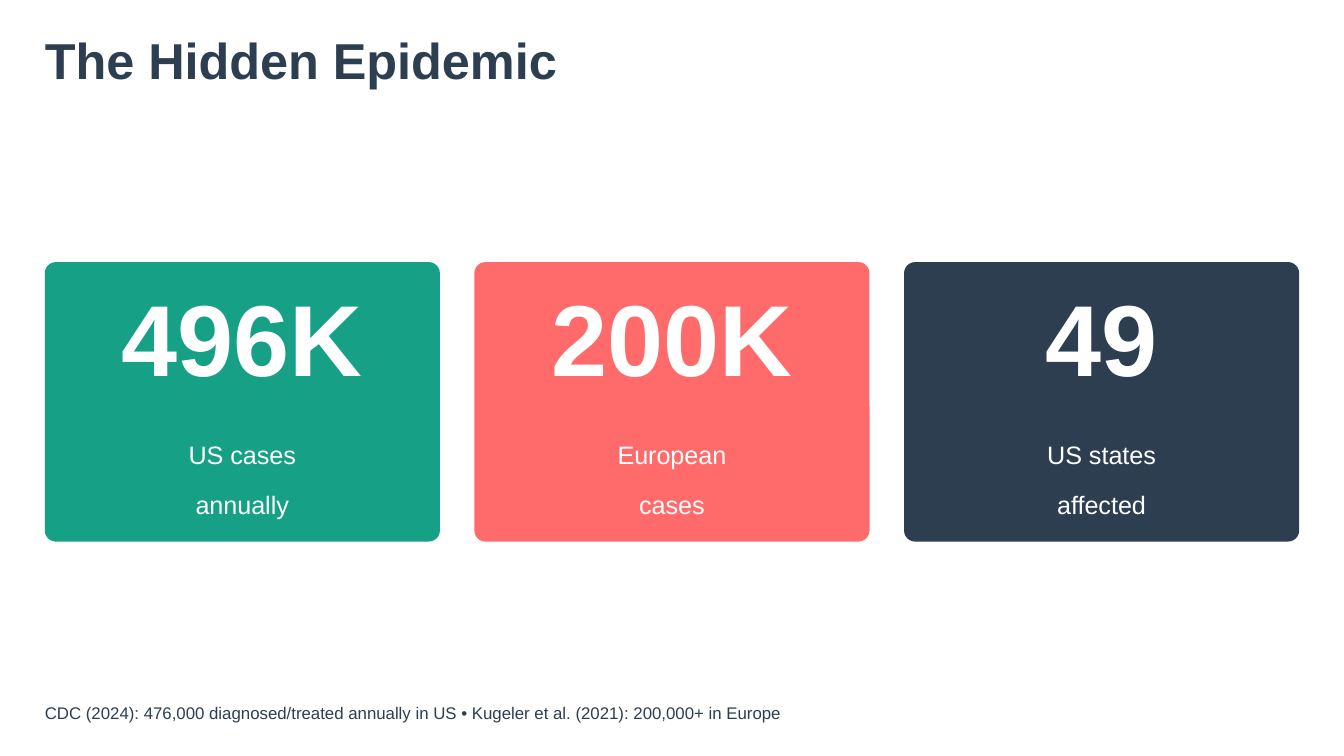
from pptx import Presentation
from pptx import util as u
from pptx.dml import color
from pptx.enum import shapes, text

COLORS = {"navy": "2C3E50", "teal": "16A085", "coral": "FF6B6B", "white": "FFFFFF"}
SLIDE_WIDTH = 10
SLIDE_HEIGHT = SLIDE_WIDTH * 9 / 16
MARGIN = 1 / 3
CARD_WIDTH, CARD_HEIGHT, CARD_TOP = 2.94, 2.08, 1.95

deck = Presentation()
deck.slide_width, deck.slide_height = u.Inches(SLIDE_WIDTH), u.Inches(SLIDE_HEIGHT)
slide = deck.slides.add_slide(deck.slide_layouts[6])


def rgb(name):
    return color.RGBColor.from_string(COLORS[name])


def add_text(lines, left, top, width, height, font, paragraph):
    """Add a box without insets; font and paragraph hold format values."""
    box = slide.shapes.add_textbox(*map(u.Inches, (left, top, width, height)))
    frame = box.text_frame
    frame.word_wrap = True
    for side in ("left", "top", "right", "bottom"):
        setattr(frame, f"margin_{side}", 0)
    frame.text = "\n".join(lines)
    for line in frame.paragraphs:
        for key, value in paragraph.items():
            setattr(line, key, value)
        run_font = line.runs[0].font
        run_font.name = "Arial"
        run_font.color.rgb = rgb(font["color"])
        run_font.size = u.Pt(font["size"])
        run_font.bold = font.get("bold", False)


# Title
add_text(["The Hidden Epidemic"], MARGIN, 0.25, 4.77, 0.42,
         {"size": 27, "color": "navy", "bold": True},
         {"line_spacing": u.Pt(30), "space_after": u.Pt(7.5)})

# Statistic cards: fill, figure, figure width, label lines
cards = [
    ("teal", "496K", 1.83, ["US cases", "annually"]),
    ("coral", "200K", 1.83, ["European", "cases"]),
    ("navy", "49", 0.85, ["US states", "affected"]),
]
label_width = 0.83
figure_font = {"size": 54, "color": "white", "bold": True}
figure_format = {"alignment": text.PP_ALIGN.CENTER, "line_spacing": u.Pt(54)}
label_font = {"size": 13.5, "color": "white"}
label_format = {"alignment": text.PP_ALIGN.CENTER, "line_spacing": u.Pt(21),
                "space_before": u.Pt(6)}
pitch = (SLIDE_WIDTH - 2 * MARGIN - CARD_WIDTH) / (len(cards) - 1)

for i, (fill, figure, figure_width, label) in enumerate(cards):
    left = MARGIN + i * pitch
    center = left + CARD_WIDTH / 2
    card = slide.shapes.add_shape(
        shapes.MSO_SHAPE.ROUNDED_RECTANGLE,
        *map(u.Inches, (left, CARD_TOP, CARD_WIDTH, CARD_HEIGHT)))
    card.adjustments[0] = 0.04
    card.shadow.inherit = False
    card.fill.solid()
    card.fill.fore_color.rgb = rgb(fill)
    card.line.fill.background()
    add_text([figure], center - figure_width / 2, 2.2, figure_width, 0.75,
             figure_font, figure_format)
    add_text(label, center - label_width / 2, 3.2, label_width, 0.58,
             label_font, label_format)

# Sources
add_text(["CDC (2024): 476,000 diagnosed/treated annually in US • "
          "Kugeler et al. (2021): 200,000+ in Europe"],
         MARGIN, 5.21, 9.52, 0.17,
         {"size": 9, "color": "navy"}, {"line_spacing": u.Pt(12)})

deck.save("out.pptx")
